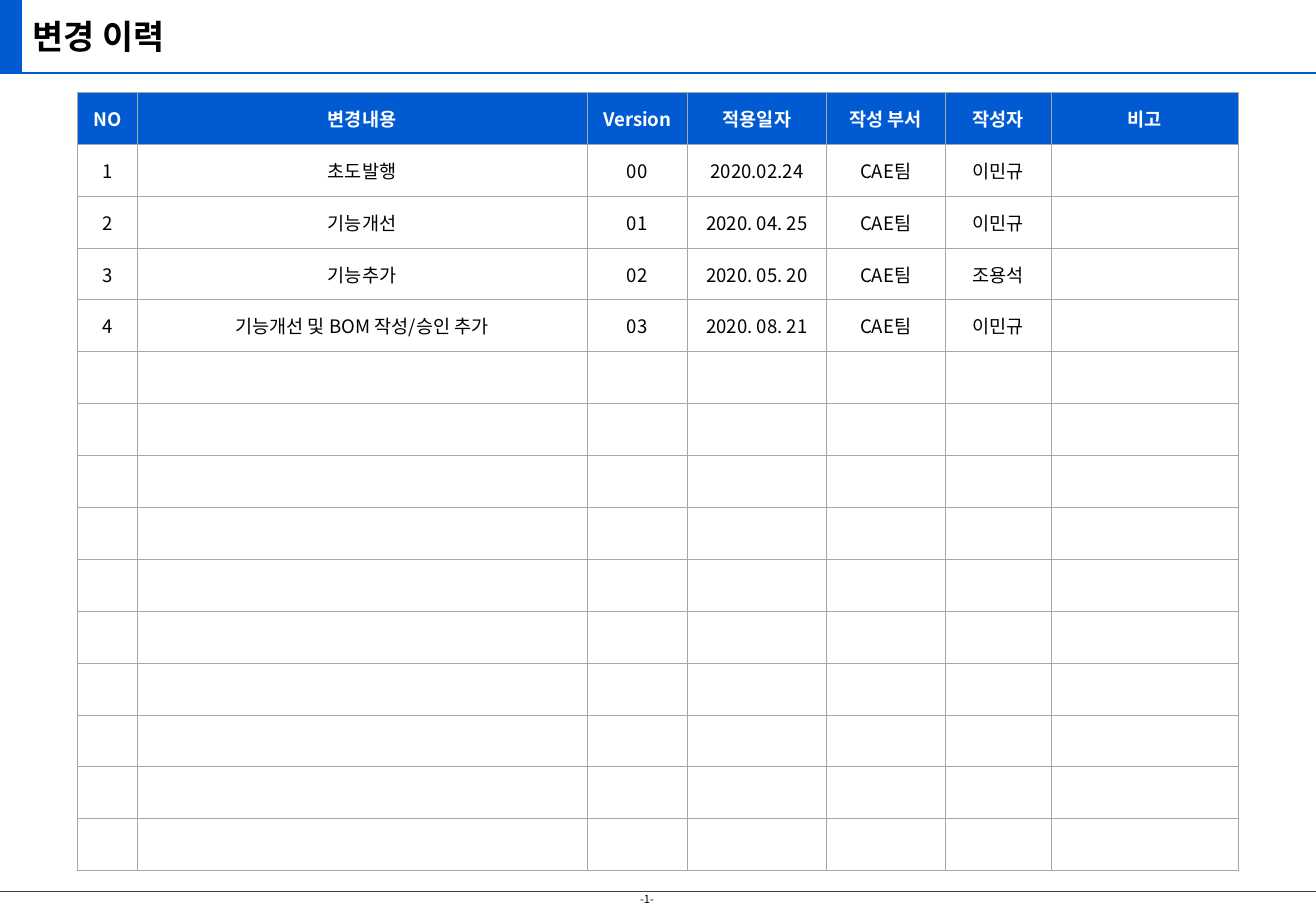
from dataclasses import dataclass

from lxml.etree import SubElement
from pptx import Presentation
from pptx.dml.color import RGBColor
from pptx.enum.shapes import MSO_CONNECTOR, MSO_SHAPE
from pptx.enum.text import MSO_ANCHOR, PP_ALIGN
from pptx.oxml.ns import qn
from pptx.util import Inches, Pt


@dataclass(frozen=True)
class Theme:
    """Colours, type sizes and font of the slide."""
    face: str = "Noto Sans CJK KR"
    blue: str = "005BD3"
    white: str = "FFFFFF"
    black: str = "000000"
    dark: str = "404040"
    grid: str = "A6A6A6"
    title: float = 20
    body: float = 11
    foot: float = 6.5


def apply(target, values):
    """Set each named value on the target."""
    for name, value in values.items():
        setattr(target, name, value)


class Page:
    """Draws styled elements on one slide."""

    def __init__(self, slide, theme):
        """Keep the slide and its theme."""
        self.slide = slide
        self.theme = theme

    def words(self, para, text, size, color, bold=False):
        """Add one styled run to a paragraph."""
        run = para.add_run()
        run.text = text
        apply(run.font, {"name": self.theme.face, "size": Pt(size), "bold": bold})
        run.font.color.rgb = RGBColor.from_string(color)
        props = run._r.get_or_add_rPr()
        SubElement(props, qn("a:ea")).set("typeface", self.theme.face)

    def label(self, box, text, size, bold=False, wrap=True, anchor=MSO_ANCHOR.TOP):
        """Add a text box."""
        frame = self.slide.shapes.add_textbox(*map(Inches, box)).text_frame
        apply(frame, {"word_wrap": wrap, "vertical_anchor": anchor})
        self.words(frame.paragraphs[0], text, size, self.theme.black, bold)

    def block(self, box, color):
        """Add a plain filled rectangle."""
        shape = self.slide.shapes.add_shape(MSO_SHAPE.RECTANGLE, *map(Inches, box))
        shape.shadow.inherit = False
        shape.fill.solid()
        shape.fill.fore_color.rgb = RGBColor.from_string(color)
        shape.line.fill.background()

    def rule(self, y, width, color, weight):
        """Add a horizontal line from the left edge."""
        ends = map(Inches, (0, y, width, y))
        line = self.slide.shapes.add_connector(MSO_CONNECTOR.STRAIGHT, *ends)
        line.line.color.rgb = RGBColor.from_string(color)
        line.line.width = Pt(weight)
        SubElement(line._element.spPr, qn("a:effectLst"))

    def edge(self, cell):
        """Put a thin border on all four sides of a cell."""
        props = cell._tc.get_or_add_tcPr()
        for side in ("lnL", "lnR", "lnT", "lnB"):
            line = SubElement(props, qn(f"a:{side}"), w=str(Pt(0.5)))
            fill = SubElement(line, qn("a:solidFill"))
            SubElement(fill, qn("a:srgbClr"), val=self.theme.grid)

    def cell(self, cell, text, head):
        """Style and fill one table cell."""
        theme = self.theme
        apply(cell, {
            "vertical_anchor": MSO_ANCHOR.MIDDLE,
            "margin_top": 0,
            "margin_bottom": 0,
        })
        self.edge(cell)
        cell.fill.solid()
        cell.fill.fore_color.rgb = RGBColor.from_string(theme.blue if head else theme.white)
        para = cell.text_frame.paragraphs[0]
        para.alignment = PP_ALIGN.CENTER
        if text:
            self.words(para, text, theme.body, theme.white if head else theme.black, head)

    def table(self, box, widths, rows, count):
        """Add a table of equal rows, with empty rows after the data."""
        frame = self.slide.shapes.add_table(count, len(widths), *map(Inches, box))
        table = frame.table
        apply(table, {"first_row": False, "horz_banding": False})
        for col, width in zip(table.columns, widths):
            col.width = Inches(width)
        for r, row in enumerate(table.rows):
            row.height = Inches(box[3] / count)
            texts = rows[r] if r < len(rows) else ()
            for c, cell in enumerate(row.cells):
                self.cell(cell, texts[c] if c < len(texts) else "", r == 0)


WIDTH, HEIGHT = 10.83, 7.5
COLS = (0.49, 3.7, 0.83, 1.14, 0.98, 0.87, 1.54)
TEAM = "CAE팀"
ROWS = (
    ("NO", "변경내용", "Version", "적용일자", "작성 부서", "작성자", "비고"),
    ("1", "초도발행", "00", "2020.02.24", TEAM, "이민규"),
    ("2", "기능개선", "01", "2020. 04. 25", TEAM, "이민규"),
    ("3", "기능추가", "02", "2020. 05. 20", TEAM, "조용석"),
    ("4", "기능개선 및 BOM 작성/승인 추가", "03", "2020. 08. 21", TEAM, "이민규"),
)


def main():
    """Build and save the change log slide."""
    deck = Presentation()
    apply(deck, {"slide_width": Inches(WIDTH), "slide_height": Inches(HEIGHT)})
    theme = Theme()
    page = Page(deck.slides.add_slide(deck.slide_layouts[6]), theme)
    page.label((5.17, 7.3, 0.39, 0.21), "-1-", theme.foot, wrap=False)
    page.block((0, 0, 0.18, 0.6), theme.blue)
    page.rule(0.6, WIDTH, theme.blue, 1)
    page.rule(7.34, WIDTH, theme.dark, 0.75)
    page.table((0.64, 0.76, sum(COLS), 6.41), COLS, ROWS, 15)
    page.label((0.17, 0.08, 7.2, 0.44), "변경 이력", theme.title,
               bold=True, anchor=MSO_ANCHOR.MIDDLE)
    deck.save("out.pptx")


if __name__ == "__main__":
    main()
